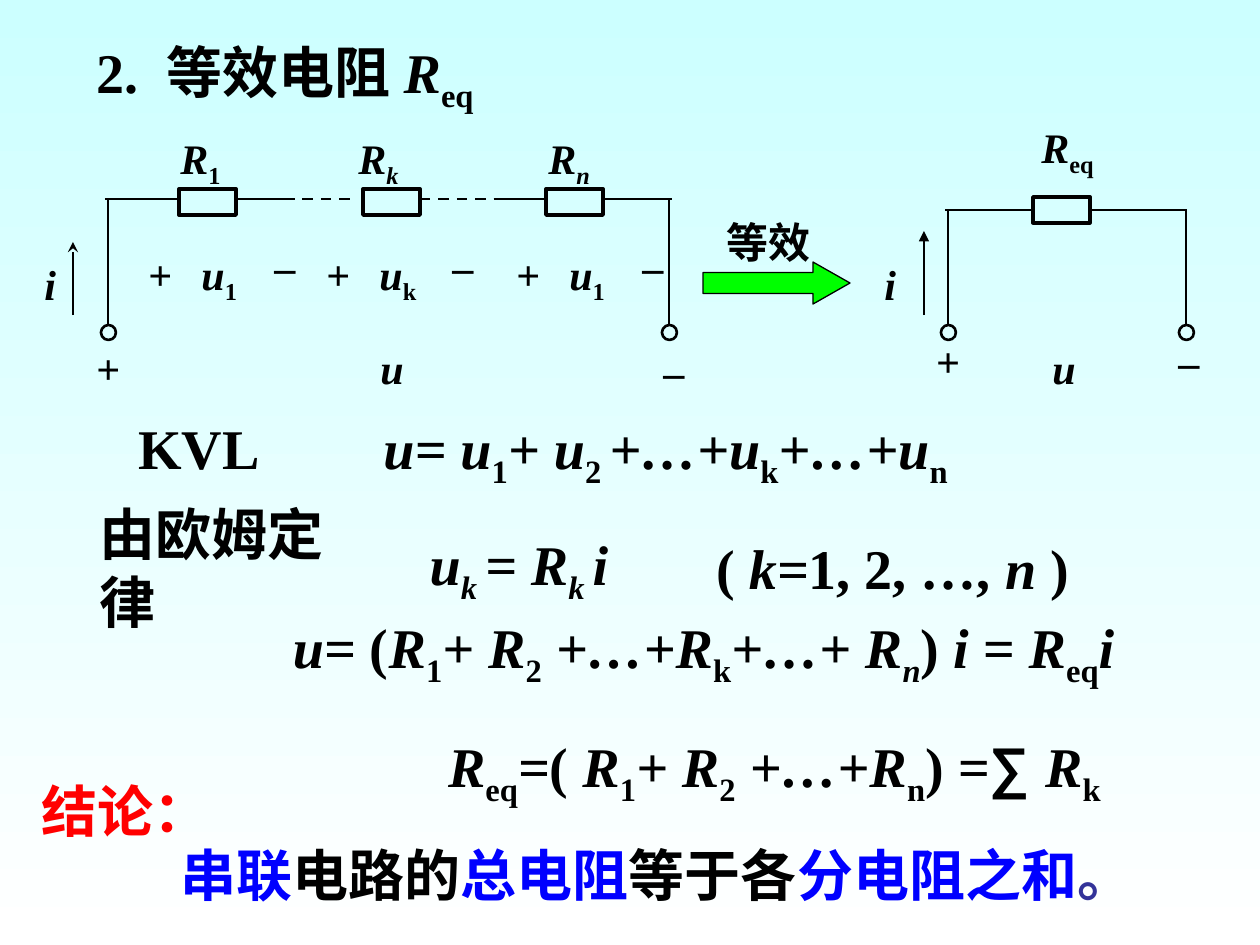
import pptx
import pptx.util
import pptx.dml.color
import pptx.enum.dml
import pptx.enum.shapes
import pptx.enum.text
import pptx.oxml.ns
from lxml import etree

COLORS = {"black": "000000", "blue": "0000FF", "red": "FF0000", "violet": "333399",
          "green": "00FF00", "sky": "CCFFFF", "white": "FFFFFF", "shade": "808080"}
FONT = "Times New Roman"
EMU_PER_PX = 914400 / 126
SHAPE = pptx.enum.shapes.MSO_SHAPE
ALIGN = pptx.enum.text.PP_ALIGN
ANCHOR = pptx.enum.text.MSO_ANCHOR
FIT = pptx.enum.text.MSO_AUTO_SIZE

# Content: a run is a plain string or (text, style); i = italic, s = subscript
TITLE = ["2.\t等效电阻 ", ("R", "i"), ("eq", "s")]
KVL = ["KVL\t", ("u= u", "i"), ("1", "s"), ("+ u", "i"), ("2 ", "s"), ("+…+u", "i"),
       ("k", "s"), ("+…+u", "i"), ("n", "s")]
OHM_LAW = ["由欧姆定律"]
OHM = [("u", "i"), ("k ", "is"), ("= R", "i"), ("k ", "is"), ("i", "i")]
RANGE = ["( ", ("k=", "i"), "1, 2, …, ", ("n ", "i"), ")"]
SUM = [("u= ", "i"), "(", ("R", "i"), ("1", "s"), ("+ R", "i"), ("2", "s"),
       (" +…+R", "i"), ("k", "s"), ("+…+ R", "i"), ("n", "is"), ")",
       (" i = R", "i"), ("eq", "s"), ("i", "i")]
RESULT = [("R", "i"), ("eq", "s"), ("=", "i"), "( ", ("R", "i"), ("1", "s"), ("+ R", "i"),
          ("2", "s"), (" +…+R", "i"), ("n", "s"), ")", (" =", "i"),
          ("∑ ", "", "Arial"), ("R", "i"), ("k", "s")]
CONCLUSION = [("串联", "", FONT, "blue"), "电路的", ("总电阻", "", FONT, "blue"), "等于各",
              ("分电阻之和", "", FONT, "blue"), ("。", "", FONT, "violet")]

# Formula lines: box, runs, format
FORMULAS = [
    ((126, 407, 987, 89), KVL, {"tab": 245}),
    ((87, 527, 300, 80), OHM_LAW, {}),
    ((417, 523, 204, 89), OHM, {"align": ALIGN.CENTER, "wrap": False}),
    ((630, 527, 525, 81), RANGE, {"align": ALIGN.CENTER}),
    ((-5, 770, 262, 81), ["结论："], {"align": ALIGN.CENTER, "color": "red"}),
    ((420, 725, 693, 89), RESULT, {"align": ALIGN.RIGHT, "shadow": True}),
    ((231, 606, 945, 89), SUM, {"align": ALIGN.CENTER}),
    ((168, 834, 998, 81), CONCLUSION, {"anchor": ANCHOR.TOP}),
]

# Series circuit: resistor centre, label and voltage of each branch
BRANCHES = [
    (207, 168, [("R", "i"), ("1", "s")], [("u", "i"), ("1", "s")]),
    (391, 346, [("R", "i"), ("k", "is")], [("u", "i"), ("k", "s")]),
    (574, 536, [("R", "i"), ("n", "is")], [("u", "i"), ("1", "s")]),
]
SERIES = {
    "wires": [(105, 199, 179, 199), (236, 199, 288, 199), (494, 199, 546, 199),
              (602, 199, 672, 199), (669, 199, 669, 325), (108, 199, 108, 325)],
    "dashes": [(284, 199, 357, 199), (420, 199, 494, 199)],
    "current": (73, 315, 73, 242, "stealth"),
    "resistors": [(centre, 202, 2.25) for centre, *_ in BRANCHES],
    "terminals": (108, 669),
    "captions": [((84, 336, 42, 63), ["+"], 0), ((651, 325, 42, 63), ["_"], 0),
                 ((32, 252, 42, 63), [("i", "i")], 0),
                 ((368, 336, 70, 63), [("u", "i")], 0)],
}
for _, left, resistance, voltage in BRANCHES:
    SERIES["captions"] += [((left, 126, 84, 70), resistance, 0),
                           ((left - 32, 242, 42, 63), ["+"], 0),
                           ((left + 21, 242, 84, 70), voltage, 0),
                           ((left + 94, 220, 42, 63), ["_"], 0)]

EQUIVALENT = {
    "wires": [(948, 325, 948, 210), (945, 210, 1033, 210),
              (1089, 210, 1187, 210), (1186, 325, 1186, 210)],
    "dashes": [],
    "current": (924, 315, 924, 231, "triangle"),
    "resistors": [(1061, 210, 2)],
    "terminals": (948, 1186),
    "captions": [((1040, 336, 53, 63), [("u", "i")], 0), ((919, 330, 53, 63), ["+"], 270),
                 ((1166, 315, 42, 63), ["_"], 0), ((872, 252, 42, 63), [("i", "i")], 0),
                 ((1029, 115, 147, 70), [("R", "i"), ("eq", "s")], 0)],
}


def px(*lengths):
    return [pptx.util.Emu(round(n * EMU_PER_PX)) for n in lengths]


def rgb(name):
    return pptx.dml.color.RGBColor.from_string(COLORS[name])


def add_xml(parent, tag, **attributes):
    return etree.SubElement(parent, pptx.oxml.ns.qn(tag), attributes)


def write(box, runs, size=32, color="black", align=ALIGN.LEFT, anchor=ANCHOR.MIDDLE,
          wrap=True, tab=None, shadow=False, fit=FIT.SHAPE_TO_FIT_TEXT):
    frame = box.text_frame
    frame.word_wrap, frame.auto_size, frame.vertical_anchor = wrap, fit, anchor
    paragraph = frame.paragraphs[0]
    paragraph.alignment = align
    if tab:
        stops = add_xml(paragraph._p.get_or_add_pPr(), "a:tabLst")
        add_xml(stops, "a:tab", pos=str(px(tab)[0]), algn="l")
    for item in runs:
        parts = (item,) if isinstance(item, str) else item
        text, style, face, tint = (*parts, *("", "", FONT, color)[len(parts):])
        run = paragraph.add_run()
        run.text = text
        run.font.size, run.font.bold = pptx.util.Pt(size), True
        run.font.italic = "i" in style
        run.font.name = face
        run.font.color.rgb = rgb(tint)
        properties = run._r.get_or_add_rPr()
        if "s" in style:
            properties.set("baseline", "-25000")
        if shadow:
            effects = etree.Element(pptx.oxml.ns.qn("a:effectLst"))
            cast = add_xml(effects, "a:outerShdw", dist="35921", dir="2700000")
            add_xml(cast, "a:srgbClr", val=COLORS["shade"])
            properties.find(pptx.oxml.ns.qn("a:solidFill")).addnext(effects)


def draw(shapes, kind, box, width, fill=None):
    shape = shapes.add_shape(kind, *px(*box))
    shape.shadow.inherit = False
    if fill:
        shape.fill.solid()
        shape.fill.fore_color.rgb = rgb(fill)
    else:
        shape.fill.background()
    shape.line.color.rgb = rgb("black")
    shape.line.width = pptx.util.Pt(width)
    return shape


def wire(shapes, ends, dashed=False, head=None):
    line = shapes.add_connector(pptx.enum.shapes.MSO_CONNECTOR.STRAIGHT, *px(*ends))
    line.line.color.rgb = rgb("black")
    line.line.width = pptx.util.Pt(1.5)
    if dashed:
        line.line.dash_style = pptx.enum.dml.MSO_LINE.DASH
    if head:
        add_xml(line.line._get_or_add_ln(), "a:tailEnd", type=head)
    add_xml(line._element.spPr, "a:effectLst")


def draw_circuit(slide, circuit):
    shapes = slide.shapes.add_group_shape().shapes
    for ends in circuit["wires"]:
        wire(shapes, ends)
    for ends in circuit["dashes"]:
        wire(shapes, ends, dashed=True)
    *ends, head = circuit["current"]
    wire(shapes, ends, head=head)
    for x, y, width in circuit["resistors"]:
        draw(shapes, SHAPE.RECTANGLE, (x - 28, y - 13, 57, 26), width)
    for x in circuit["terminals"]:
        draw(shapes, SHAPE.OVAL, (x - 7, 325, 15, 15), 1.5)
    for box, runs, turn in circuit["captions"]:
        caption = shapes.add_textbox(*px(*box))
        caption.rotation = turn
        write(caption, runs, size=24, anchor=ANCHOR.TOP)


def main():
    deck = pptx.Presentation()
    deck.slide_width, deck.slide_height = px(1260, 945)
    slide = deck.slides.add_slide(deck.slide_layouts[5])

    # Background
    backdrop = slide.background.fill
    backdrop.gradient()
    backdrop.gradient_angle = 270
    for stop, name, position in zip(backdrop.gradient_stops, ("sky", "white"), (0, 1)):
        stop.color.rgb, stop.position = rgb(name), position

    # Title
    title = slide.shapes.title
    title.left, title.top, title.width, title.height = px(84, 31, 420, 89)
    write(title, TITLE, anchor=ANCHOR.TOP, tab=70, fit=FIT.NONE)

    # Formulas and conclusion
    for box, runs, look in FORMULAS:
        write(slide.shapes.add_textbox(*px(*box)), runs, **look)

    # Circuits and the arrow between them
    arrow = draw(slide.shapes, SHAPE.RIGHT_ARROW, (703, 262, 147, 42), 0.75, "green")
    arrow.adjustments[1] = 0.88
    write(slide.shapes.add_textbox(*px(714, 210, 126, 63)), ["等效"], size=24,
          anchor=ANCHOR.TOP)
    for circuit in (SERIES, EQUIVALENT):
        draw_circuit(slide, circuit)

    deck.save("out.pptx")


if __name__ == "__main__":
    main()
